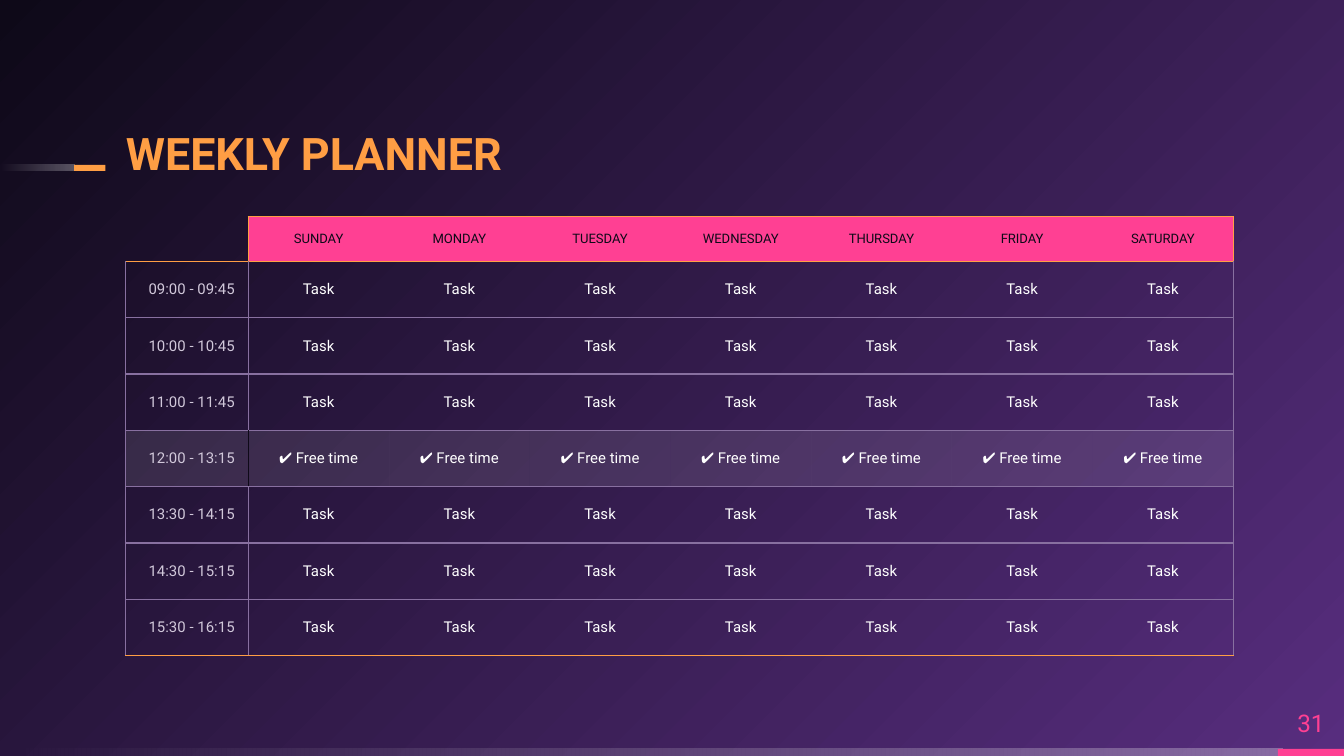
from lxml import etree
from pptx import Presentation
from pptx.dml.color import RGBColor
from pptx.enum.shapes import MSO_SHAPE
from pptx.enum.text import MSO_ANCHOR, PP_ALIGN
from pptx.oxml.ns import qn
from pptx.util import Pt

RECTANGLE = MSO_SHAPE.RECTANGLE
MIDDLE, BOTTOM = MSO_ANCHOR.MIDDLE, MSO_ANCHOR.BOTTOM
LEFT, CENTER, RIGHT = PP_ALIGN.LEFT, PP_ALIGN.CENTER, PP_ALIGN.RIGHT

COLORS = {
    "night": "0E0918",
    "purple": "572D7E",
    "pink": "FF4093",
    "orange": "FF9E44",
    "line": "8870A0",
    "time": "D1C8DA",
    "white": "FFFFFF",
}
FONT = "Roboto"
PAGE_WIDTH, PAGE_HEIGHT = 720, 405
TIME_WIDTH, DAY_WIDTH = 65.75, 75.38
HEADER_HEIGHT, SLOT_HEIGHT = 24.1, 30.17
BORDER_WIDTH = 0.75
BREAK_ROW = 4

DAYS = ["SUNDAY", "MONDAY", "TUESDAY", "WEDNESDAY", "THURSDAY", "FRIDAY", "SATURDAY"]
SLOTS = ["09:00 - 09:45", "10:00 - 10:45", "11:00 - 11:45", "12:00 - 13:15",
         "13:30 - 14:15", "14:30 - 15:15", "15:30 - 16:15"]


def rgb(name):
    return RGBColor.from_string(COLORS[name])


def set_values(target, values):
    for name, value in values.items():
        setattr(target, name, value)


def set_alpha(color_element, percent):
    etree.SubElement(color_element, qn("a:alpha"), val=str(percent * 1000))


def write(paragraph, text, size, color, align, bold=False):
    paragraph.alignment = align
    span = paragraph.add_run()
    span.text = text
    set_values(span.font, {"name": FONT, "size": Pt(size), "bold": bold})
    span.font.color.rgb = rgb(color)


def paint_background(page):
    """Radial gradient spreading from the bottom right corner."""
    fill = page.background.fill
    fill.gradient()
    for stop, name in zip(fill.gradient_stops, ("purple", "night")):
        stop.color.rgb = rgb(name)
    gradient = next(page.element.iter(qn("a:gradFill")))
    gradient.remove(gradient.find(qn("a:lin")))
    circle = etree.SubElement(gradient, qn("a:path"), {"path": "circle"})
    etree.SubElement(circle, qn("a:fillToRect"), l="100000", t="100000")
    etree.SubElement(gradient, qn("a:tileRect"), r="-100000", b="-100000")


def add_bar(page, left, top, width, height, color=None):
    """Solid bar, or a white one fading out to the left when no color is given."""
    bar = page.shapes.add_shape(RECTANGLE, Pt(left), Pt(top), Pt(width), Pt(height))
    bar.shadow.inherit = False
    bar.line.fill.background()
    if color:
        bar.fill.solid()
        bar.fill.fore_color.rgb = rgb(color)
        return
    bar.fill.gradient()
    bar.fill.gradient_angle = 180
    for stop in bar.fill.gradient_stops:
        stop.color.rgb = rgb("white")
    for element, percent in zip(bar.element.spPr.iter(qn("a:srgbClr")), (30, 0)):
        set_alpha(element, percent)


def add_text(page, left, top, width, height, text, size, color, align, anchor,
             bold=False, spacing=1.0):
    box = page.shapes.add_textbox(Pt(left), Pt(top), Pt(width), Pt(height))
    frame = box.text_frame
    set_values(frame, {"word_wrap": True, "vertical_anchor": anchor,
                       "margin_left": 0, "margin_right": 0,
                       "margin_top": 0, "margin_bottom": 0})
    frame.paragraphs[0].line_spacing = spacing
    write(frame.paragraphs[0], text, size, color, align, bold)


def border_colors(row, column):
    """Color name of each side of a cell, None where no line is drawn."""
    def level(edge):
        if edge == 0:
            return "orange" if column else None
        return "orange" if edge in (1, len(SLOTS) + 1) else "line"

    def upright(edge):
        if 1 < edge < len(DAYS) + 1 or (row == 0 and edge == 0):
            return None
        if row == 0:
            return "orange"
        return "night" if row == BREAK_ROW and edge == 1 else "line"

    return {"a:lnL": upright(column), "a:lnR": upright(column + 1),
            "a:lnT": level(row), "a:lnB": level(row + 1)}


def draw_borders(cell, sides):
    properties = cell._tc.get_or_add_tcPr()
    for tag, name in sides.items():
        line = etree.SubElement(properties, qn(tag), w=str(Pt(BORDER_WIDTH)))
        if name:
            solid = etree.SubElement(line, qn("a:solidFill"))
            etree.SubElement(solid, qn("a:srgbClr"), val=COLORS[name])
        else:
            etree.SubElement(line, qn("a:noFill"))


def fill_cell(cell, row, column):
    if row == 0 and column:
        cell.fill.solid()
        cell.fill.fore_color.rgb = rgb("pink")
    elif row == BREAK_ROW:
        cell.fill.solid()
        cell.fill.fore_color.rgb = rgb("white")
        solid = cell._tc.tcPr.find(qn("a:solidFill"))
        set_alpha(solid.find(qn("a:srgbClr")), 10)
    else:
        cell.fill.background()


def write_cell(cell, row, column):
    margin = Pt(7.2)
    set_values(cell, {"vertical_anchor": MIDDLE,
                      "margin_left": margin, "margin_right": margin,
                      "margin_top": margin, "margin_bottom": margin})
    paragraph = cell.text_frame.paragraphs[0]
    if row and column:
        text = "✔ Free time" if row == BREAK_ROW else "Task"
        write(paragraph, text, 8, "white", CENTER)
    elif row:
        write(paragraph, SLOTS[row - 1], 8, "time", RIGHT)
    elif column:
        write(paragraph, DAYS[column - 1], 7, "night", CENTER)
    else:
        etree.SubElement(paragraph._p, qn("a:endParaRPr"), sz="700")


def add_planner(page, left, top):
    widths = [TIME_WIDTH] + [DAY_WIDTH] * len(DAYS)
    heights = [HEADER_HEIGHT] + [SLOT_HEIGHT] * len(SLOTS)
    table = page.shapes.add_table(len(heights), len(widths), Pt(left), Pt(top),
                                  Pt(sum(widths)), Pt(sum(heights))).table
    table.horz_banding = False
    table.first_row = False
    for column, width in zip(table.columns, widths):
        column.width = Pt(width)
    for row, height in zip(table.rows, heights):
        row.height = Pt(height)
    for row in range(len(heights)):
        for column in range(len(widths)):
            cell = table.cell(row, column)
            draw_borders(cell, border_colors(row, column))
            fill_cell(cell, row, column)
            write_cell(cell, row, column)


def main():
    deck = Presentation()
    deck.slide_width, deck.slide_height = Pt(PAGE_WIDTH), Pt(PAGE_HEIGHT)
    page = deck.slides.add_slide(deck.slide_layouts[6])
    paint_background(page)
    add_bar(page, 0, 401.2, 687, 3.8)
    add_bar(page, 684.6, 401.2, 35.4, 3.8, "pink")
    add_bar(page, 0, 88.3, 40, 3.3)
    add_bar(page, 39.7, 88.3, 16.8, 3.3, "orange")
    add_text(page, 67.5, 65.5, 417.6, 31, "WEEKLY PLANNER", 24, "orange",
             LEFT, BOTTOM, bold=True, spacing=0.9)
    add_text(page, 684.6, 373.7, 35.4, 27.4, "31", 13, "pink", CENTER, MIDDLE)
    add_planner(page, 67.3, 116)
    deck.save("out.pptx")


if __name__ == "__main__":
    main()
